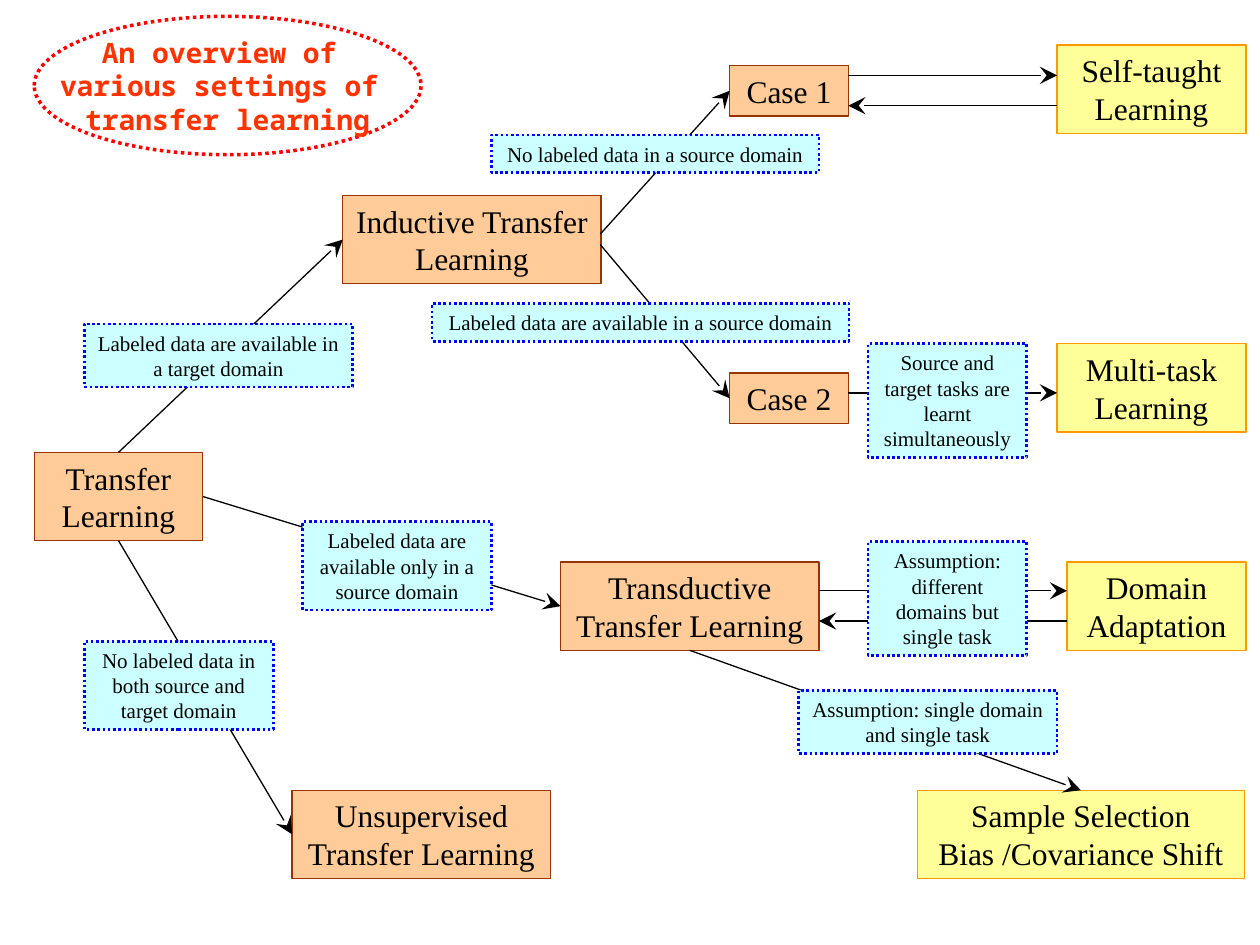
"""Build a one-slide tree of the settings of transfer learning."""
from lxml import etree
from pptx import Presentation
from pptx.dml.color import RGBColor
from pptx.enum.dml import MSO_LINE
from pptx.enum.shapes import MSO_CONNECTOR, MSO_SHAPE
from pptx.enum.text import MSO_ANCHOR, MSO_AUTO_SIZE, PP_ALIGN
from pptx.oxml.ns import qn
from pptx.util import Cm, Pt

RECTANGLE, ELLIPSE = MSO_SHAPE.RECTANGLE, MSO_SHAPE.OVAL
STRAIGHT = MSO_CONNECTOR.STRAIGHT
DOTTED = MSO_LINE.ROUND_DOT
TOP, MIDDLE = MSO_ANCHOR.TOP, MSO_ANCHOR.MIDDLE
CENTER = PP_ALIGN.CENTER
FIT_SHAPE = MSO_AUTO_SIZE.SHAPE_TO_FIT_TEXT
UP, LEFT, DOWN, RIGHT = range(4)

COLORS = {
    "setting": "FFCC99", "setting line": "993300",
    "method": "FFFF99", "method line": "FF9900",
    "condition": "CCFFFF", "condition line": "0000FF",
    "title line": "FF0000", "title": "FF3300", "black": "000000",
}
SERIF, MONO = "Times New Roman", "Noto Sans Mono"
TALL, SHORT = 1.78, 1.02

deck = Presentation()
deck.slide_width, deck.slide_height = Cm(25.4), Cm(19.05)
page = deck.slides.add_slide(deck.slide_layouts[6])


def color(name):
    return RGBColor.from_string(COLORS[name])


def add_box(kind, lines, place, size, line_width, preset=RECTANGLE, font=SERIF):
    box = page.shapes.add_shape(preset, *map(Cm, place))
    box.shadow.inherit = False
    is_title = kind == "title"
    if is_title:
        box.fill.background()
    else:
        box.fill.solid()
        box.fill.fore_color.rgb = color(kind)
    box.line.color.rgb = color(kind + " line")
    box.line.width = Pt(line_width)
    if kind in ("condition", "title"):
        box.line.dash_style = DOTTED
    frame = box.text_frame
    frame.word_wrap = not is_title
    frame.vertical_anchor = MIDDLE if is_title else TOP
    if not is_title:
        frame.auto_size = FIT_SHAPE
    for number, line in enumerate(lines):
        para = frame.add_paragraph() if number else frame.paragraphs[0]
        para.text = line
        para.alignment = CENTER
        para.font.name = font
        para.font.size = Pt(size)
        para.font.bold = is_title
        para.font.color.rgb = color("title" if is_title else "black")
    return box


settings = [
    ("Transfer Learning", 0.69, 9.12, 3.4, TALL),
    ("Inductive Transfer Learning", 6.91, 3.94, 5.21, TALL),
    ("Transductive Transfer Learning", 11.3, 11.33, 5.21, TALL),
    ("Unsupervised Transfer Learning", 5.89, 15.93, 5.21, TALL),
    ("Case 1", 14.71, 1.32, 2.39, SHORT),
    ("Case 2", 14.71, 7.52, 2.39, SHORT),
]
methods = [
    ("Self-taught Learning", 21.31, 0.91, 3.81, TALL),
    ("Multi-task Learning", 21.31, 6.93, 3.81, TALL),
    ("Domain Adaptation", 21.51, 11.33, 3.61, TALL),
    ("Sample Selection Bias /Covariance Shift", 18.49, 15.93, 6.6, TALL),
]
boxes = {}
for kind, items in (("setting", settings), ("method", methods)):
    for text, *place in items:
        boxes[text] = add_box(kind, [text], place, 18, 0.75)

root, inductive, transductive, unsupervised, case_1, case_2 = (
    boxes[item[0]] for item in settings
)
sample_selection = boxes["Sample Selection Bias /Covariance Shift"]

arrows = [
    ((2.39, 9.12), (6.91, 4.83), (root, UP), (inductive, LEFT)),
    ((4.09, 10.01), (11.3, 12.22), (root, RIGHT), (transductive, LEFT)),
    ((2.39, 10.9), (5.89, 16.82), (root, DOWN), (unsupervised, LEFT)),
    ((12.1, 4.72), (14.71, 1.83), None, (case_1, LEFT)),
    ((12.1, 4.93), (14.71, 8.03), None, (case_2, LEFT)),
    ((17.1, 1.52), (21.31, 1.52), None, None),
    ((21.31, 2.13), (17.1, 2.13), None, None),
    ((17.1, 7.92), (21.31, 7.92), None, None),
    ((16.51, 11.91), (21.51, 11.91), None, None),
    ((21.51, 12.52), (16.51, 12.52), None, None),
    ((13.91, 13.11), (21.79, 15.93), (transductive, DOWN), (sample_selection, UP)),
]
for start, end, source, target in arrows:
    arrow = page.shapes.add_connector(STRAIGHT, *map(Cm, start + end))
    if source:
        arrow.begin_connect(*source)
    if target:
        arrow.end_connect(*target)
    arrow.line.color.rgb = color("black")
    arrow.line.width = Pt(0.75)
    outline = arrow.line._get_or_add_ln()
    etree.SubElement(outline, qn("a:tailEnd"), type="stealth", w="lg", len="lg")
    etree.SubElement(arrow._element.spPr, qn("a:effectLst"))

conditions = [
    ("Labeled data are available in a target domain", 1.7, 6.53, 5.41, 1.27),
    ("Labeled data are available only in a source domain", 6.1, 10.52, 3.81, TALL),
    ("No labeled data in both source and target domain", 1.7, 12.93, 3.81, TALL),
    ("No labeled data in a source domain", 9.91, 2.72, 6.6, 0.76),
    ("Labeled data are available in a source domain", 8.71, 6.12, 8.41, 0.76),
    ("Source and target tasks are learnt simultaneously", 17.5, 6.93, 3.2, 2.29),
    ("Assumption: different domains but single task", 17.5, 10.92, 3.2, 2.29),
    ("Assumption: single domain and single task", 16.1, 13.92, 5.21, 1.27),
]
for text, *place in conditions:
    add_box("condition", [text], place, 12, 1.5)

title_lines = ["An overview of ", "various settings of ", "transfer learning"]
add_box("title", title_lines, (0.69, 0.33, 7.8, 2.79), 16, 2, ELLIPSE, MONO)

deck.save("out.pptx")
